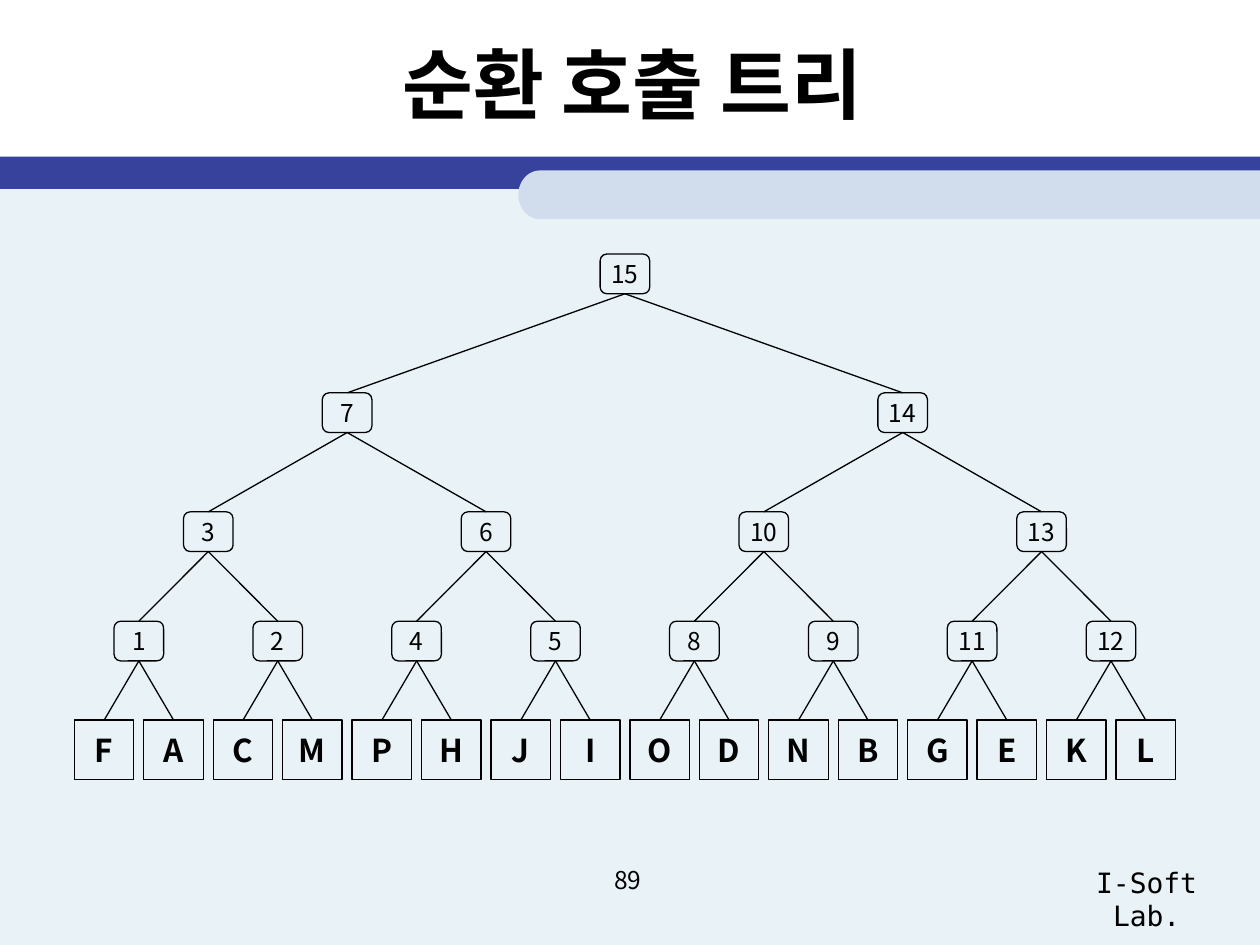
from dataclasses import dataclass
from math import cos, pi, sin

from lxml.etree import SubElement
from pptx import Presentation
from pptx.dml.color import RGBColor
from pptx.enum.shapes import MSO_CONNECTOR, MSO_SHAPE
from pptx.enum.text import MSO_ANCHOR, PP_ALIGN
from pptx.oxml.ns import qn
from pptx.util import Pt


@dataclass(frozen=True)
class Theme:
    ink: RGBColor = RGBColor(0x00, 0x00, 0x00)
    body: RGBColor = RGBColor(0xE8, 0xF2, 0xF7)
    band: RGBColor = RGBColor(0x36, 0x42, 0x9B)
    tab: RGBColor = RGBColor(0xD1, 0xDD, 0xEC)
    font: str = "Noto Sans CJK KR"
    mono: str = "DejaVu Sans Mono"
    title: float = 44
    leaf: float = 18
    lab: float = 16
    node: float = 14
    line: float = 0.75


@dataclass(frozen=True)
class Level:
    labels: tuple
    top: float
    width: float = 28.35
    height: float = 22.68
    shape: MSO_SHAPE = MSO_SHAPE.ROUNDED_RECTANGLE
    size: float = Theme.node
    bold: bool = False


T = Theme()
FIRST_LEAF = 59.53
LEAF_PITCH = 39.68
LEVELS = (
    Level(tuple("FACMPHJIODNBGEKL"), 411.5, 34.02, 34.02,
          MSO_SHAPE.RECTANGLE, T.leaf, True),
    Level(("1", "2", "4", "5", "8", "9", "11", "12"), 355),
    Level(("3", "6", "10", "13"), 292.5),
    Level(("7", "14"), 224.5),
    Level(("15",), 145.2),
)


def write(sp, text: str, size: float, bold: bool = False, font: str = T.font) -> None:
    tf = sp.text_frame
    tf.text = text
    p = tf.paragraphs[0]
    p.alignment = PP_ALIGN.CENTER
    r = p.runs[0]
    r.font.size = Pt(size)
    r.font.bold = bold
    r.font.color.rgb = T.ink
    r.font.name = font
    SubElement(r.font._element, qn("a:ea")).set("typeface", font)


def paint(sp, color: RGBColor) -> None:
    sp.shadow.inherit = False
    sp.fill.solid()
    sp.fill.fore_color.rgb = color
    sp.line.fill.background()


def add_block(s, top: float, height: float, color: RGBColor) -> None:
    paint(s.shapes.add_shape(MSO_SHAPE.RECTANGLE, 0, Pt(top), Pt(720), Pt(height)), color)


def add_tab(s, left: float, top: float, height: float, rx: float) -> None:
    ry = height / 2
    steps = 32
    arc = [(Pt(left + rx - rx * sin(pi * i / steps)),
            Pt(top + ry - ry * cos(pi * i / steps))) for i in range(steps + 1)]
    fb = s.shapes.build_freeform(Pt(720), Pt(top))
    fb.add_line_segments(arc + [(Pt(720), Pt(top + height))], close=True)
    paint(fb.convert_to_shape(), T.tab)


def add_label(s, text: str, left: float, top: float, width: float, height: float,
              size: float, font: str) -> None:
    sp = s.shapes.add_textbox(Pt(left), Pt(top), Pt(width), Pt(height))
    sp.text_frame.word_wrap = True
    write(sp, text, size, font=font)


def add_level(s, level: Level, depth: int) -> list:
    span = 2 ** depth
    nodes = []
    for i, label in enumerate(level.labels):
        center = FIRST_LEAF + LEAF_PITCH * (i * span + (span - 1) / 2)
        sp = s.shapes.add_shape(level.shape, Pt(center - level.width / 2), Pt(level.top),
                                Pt(level.width), Pt(level.height))
        sp.shadow.inherit = False
        sp.fill.background()
        sp.line.color.rgb = T.ink
        sp.line.width = Pt(T.line)
        write(sp, label, level.size, level.bold)
        sp.text_frame.word_wrap = False
        sp.text_frame.vertical_anchor = MSO_ANCHOR.MIDDLE
        nodes.append(sp)
    return nodes


def add_branch(s, parent, child) -> None:
    cn = s.shapes.add_connector(MSO_CONNECTOR.STRAIGHT, 0, 0, 0, 0)
    cn.begin_connect(parent, 2)
    cn.end_connect(child, 0)
    cn.line.color.rgb = T.ink
    cn.line.width = Pt(T.line)
    SubElement(cn._element.spPr, qn("a:effectLst"))


def main() -> None:
    prs = Presentation()
    prs.slide_width, prs.slide_height = Pt(720), Pt(540)
    s = prs.slides.add_slide(prs.slide_layouts[5])

    title = s.shapes.title
    title.left, title.top, title.width, title.height = Pt(42.5), Pt(5.75), Pt(648), Pt(82.8)
    write(title, "순환 호출 트리 ", T.title, True)
    title.text_frame.vertical_anchor = MSO_ANCHOR.MIDDLE

    add_block(s, 100.8, 439.2, T.body)
    add_block(s, 89.5, 18.5, T.band)
    add_tab(s, 296.2, 97.4, 27.8, 12.4)
    add_label(s, "I-Soft Lab.", 598.3, 491, 113.8, 26.6, T.lab, T.mono)
    add_label(s, "89", 275, 491, 167.8, 37.4, T.node, T.font)

    tree = [add_level(s, level, depth) for depth, level in enumerate(LEVELS)]
    for children, parents in zip(tree, tree[1:]):
        for i, child in enumerate(children):
            add_branch(s, parents[i // 2], child)

    prs.save("out.pptx")


if __name__ == "__main__":
    main()
